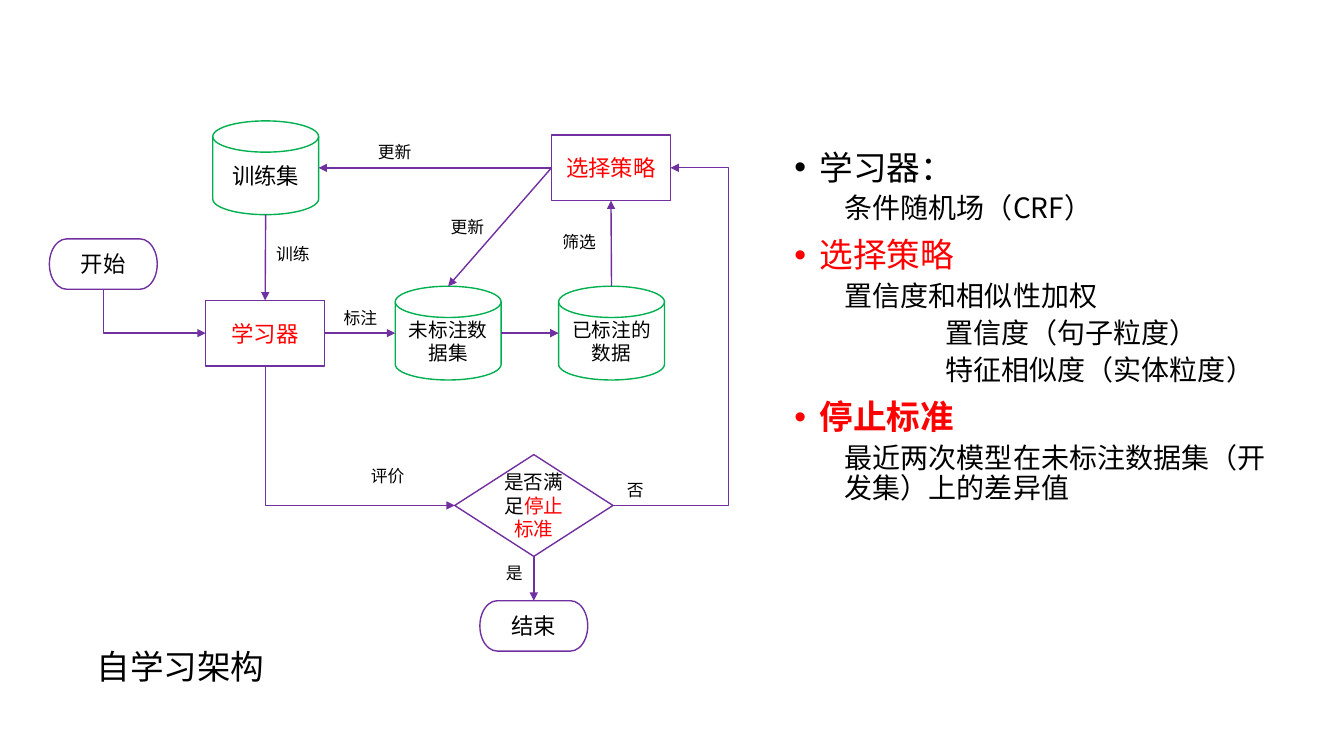
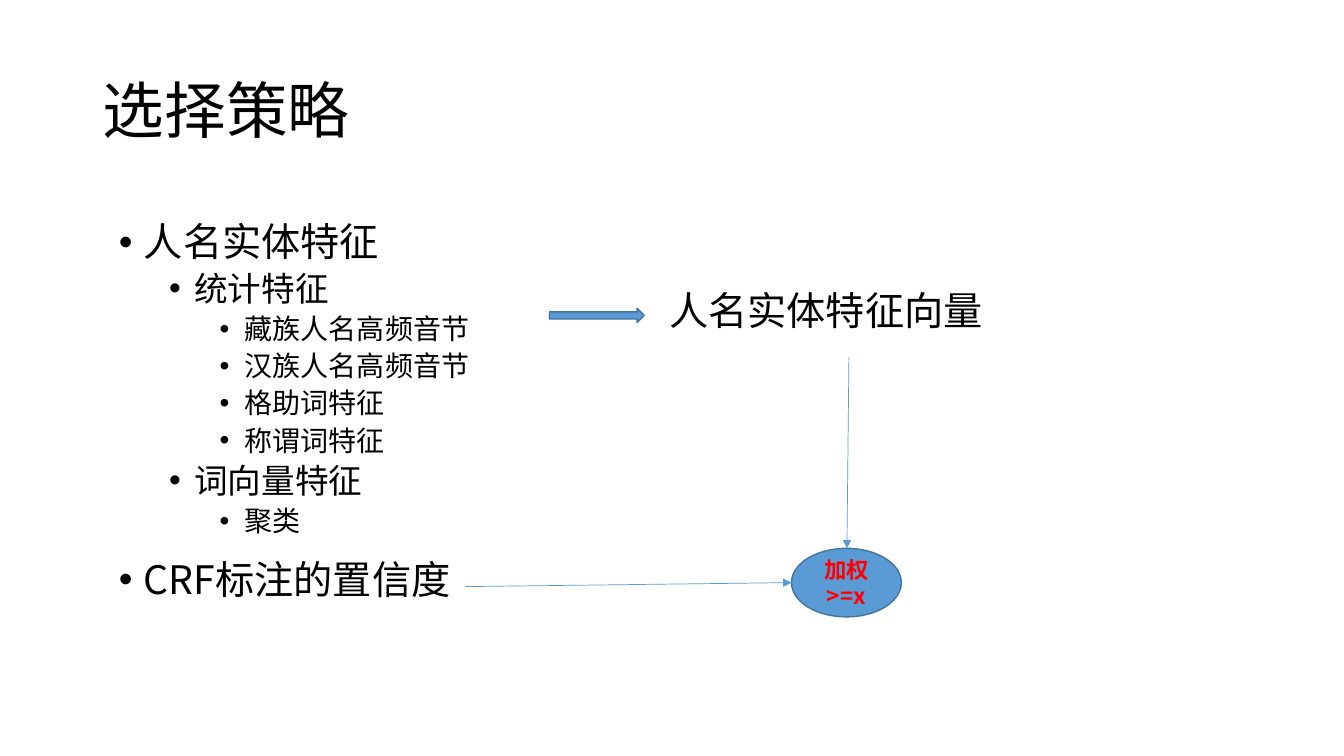
import pptx
import pptx.dml.color
import pptx.enum.shapes
import pptx.enum.text
import pptx.oxml
import pptx.oxml.ns
import pptx.util

Inches = pptx.util.Inches
Pt = pptx.util.Pt
Kind = pptx.enum.shapes.MSO_SHAPE
Align = pptx.enum.text.PP_ALIGN
Anchor = pptx.enum.text.MSO_ANCHOR

FONT = "Noto Sans CJK SC"
BLACK, RED, PURPLE, GREEN = "000000", "FF0000", "7030A0", "00B050"
BLUE, DARK_BLUE = "5B9BD5", "43739E"
TOP, LEFT, BOTTOM, RIGHT = range(4)


def colour(value):
    return pptx.dml.color.RGBColor.from_string(value)


def add_xml(parent, tag, **attributes):
    element = pptx.oxml.parse_xml(f"<a:{tag} {pptx.oxml.ns.nsdecls('a')}/>")
    for name, value in attributes.items():
        element.set(name, str(value))
    parent.append(element)


class Deck:
    """Hold the shared style and the current slide."""

    def __init__(self):
        self.deck = pptx.Presentation()
        self.deck.slide_width = Inches(13.33)
        self.deck.slide_height = Inches(7.5)
        self.page = None

    def add_page(self, title=None):
        layout = self.deck.slide_layouts[5 if title else 6]
        self.page = self.deck.slides.add_slide(layout)
        if title:
            box = self.page.shapes.title
            box.left, box.top = Inches(0.92), Inches(0.4)
            box.width, box.height = Inches(11.5), Inches(1.45)
            box.text_frame.vertical_anchor = Anchor.MIDDLE
            para = box.text_frame.paragraphs[0]
            para.line_spacing = 0.9
            self.add_text(para, title, 44, align=Align.LEFT, font="Arial")

    def add_text(self, para, text, size, ink=BLACK, bold=False, align=None, font=FONT):
        para.add_run().text = text
        para.alignment = align
        para.font.name = font
        para.font.size = Pt(size)
        para.font.bold = bold
        para.font.color.rgb = colour(ink)

    def text_box(self, left, top, width, height, wrap=True):
        box = self.page.shapes.add_textbox(
            Inches(left), Inches(top), Inches(width), Inches(height))
        box.text_frame.word_wrap = wrap
        return box.text_frame

    def label(self, left, top, text, size=12, width=0.54, height=0.3, wrap=False):
        frame = self.text_box(left, top, width, height, wrap)
        self.add_text(frame.paragraphs[0], text, size)

    def outline(self, left, top, width, height, lines):
        frame = self.text_box(left, top, width, height)
        for number, (text, size, margin, bullet, ink, bold) in enumerate(lines):
            para = frame.add_paragraph() if number else frame.paragraphs[0]
            properties = para._p.get_or_add_pPr()
            properties.set("marL", str(Inches(margin)))
            properties.set("indent", str(Inches(-0.25 if bullet else 0)))
            if bullet:
                add_xml(properties, "buFont", typeface="Arial")
                add_xml(properties, "buChar", char="•")
            para.line_spacing = 0.9
            para.space_before = Pt(10 if margin < 0.5 else 5)
            self.add_text(para, text, size, ink, bold)

    def shape(self, kind, left, top, width, height, line=PURPLE, fill=None,
              text="", size=16, ink=BLACK, bold=False, red_text=""):
        shape = self.page.shapes.add_shape(
            kind, Inches(left), Inches(top), Inches(width), Inches(height))
        shape.shadow.inherit = False
        shape.line.color.rgb = colour(line)
        shape.line.width = Pt(1)
        if fill:
            shape.fill.solid()
            shape.fill.fore_color.rgb = colour(fill)
        else:
            shape.fill.background()
        if text:
            shape.text_frame.vertical_anchor = Anchor.MIDDLE
            para = shape.text_frame.paragraphs[0]
            self.add_text(para, text, size, ink, bold, Align.CENTER)
            if red_text:
                span = para.add_run()
                span.text = red_text
                span.font.color.rgb = colour(RED)
        return shape

    def disk(self, left, top, text, size):
        return self.shape(Kind.FLOWCHART_MAGNETIC_DISK, left, top, 1.05, 0.93,
                          GREEN, text=text, size=size)

    def process(self, left, top, text):
        return self.shape(Kind.RECTANGLE, left, top, 1.18, 0.65, text=text, ink=RED)

    def terminator(self, left, top, text):
        return self.shape(Kind.FLOWCHART_TERMINATOR, left, top, 1.07, 0.5, text=text)

    def arrow(self, x1=0, y1=0, x2=0, y2=0, line=PURPLE, weight=1, elbow=False):
        types = pptx.enum.shapes.MSO_CONNECTOR
        arrow = self.page.shapes.add_connector(
            types.ELBOW if elbow else types.STRAIGHT,
            Inches(x1), Inches(y1), Inches(x2), Inches(y2))
        arrow.line.color.rgb = colour(line)
        arrow.line.width = Pt(weight)
        add_xml(arrow.line._get_or_add_ln(), "tailEnd", type="triangle")
        add_xml(arrow._element.spPr, "effectLst")
        return arrow

    def connect(self, start, start_site, end, end_site, elbow=False):
        arrow = self.arrow(elbow=elbow)
        arrow.begin_connect(start, start_site)
        arrow.end_connect(end, end_site)
        links = arrow._element.nvCxnSpPr.cNvCxnSpPr
        for shape, link in ((start, links.stCxn), (end, links.endCxn)):
            if shape.auto_shape_type == Kind.FLOWCHART_MAGNETIC_DISK:
                link.idx += 1
        return arrow

    def connect_down_right(self, start, end):
        arrow = self.connect(start, BOTTOM, end, LEFT, elbow=True)
        width, height = arrow.width, arrow.height
        arrow.left += (width - height) // 2
        arrow.top += (height - width) // 2
        arrow.width, arrow.height = height, width
        properties = arrow._element.spPr
        properties.prstGeom.set("prst", "bentConnector2")
        properties.xfrm.set("rot", str(270 * 60000))
        properties.xfrm.set("flipH", "1")

    def connect_around(self, start, end, bend):
        arrow = self.connect(start, RIGHT, end, RIGHT, elbow=True)
        geometry = arrow._element.spPr.prstGeom
        add_xml(geometry.get_or_add_avLst(), "gd", name="adj1",
                fmla=f"val {round(bend * 100000)}")


deck = Deck()

deck.add_page()
training = deck.disk(2.11, 1.2, "训练集", 16)
unlabelled = deck.disk(3.92, 2.84, "未标注数据集", 14)
labelled = deck.disk(5.54, 2.84, "已标注的数据", 14)
learner = deck.process(2.04, 2.98, "学习器")
strategy = deck.process(5.47, 1.34, "选择策略")
start = deck.terminator(0.49, 2.37, "开始")
finish = deck.terminator(4.76, 5.96, "结束")
decision = deck.shape(Kind.FLOWCHART_DECISION, 4.51, 4.51, 1.57, 1.01,
                      text="是否满足", size=14, red_text="停止标准")

for link in (
    (learner, RIGHT, unlabelled, LEFT),
    (strategy, LEFT, training, RIGHT),
    (training, BOTTOM, learner, TOP),
    (decision, BOTTOM, finish, TOP),
    (labelled, TOP, strategy, BOTTOM),
    (unlabelled, RIGHT, labelled, LEFT),
    (strategy, LEFT, unlabelled, TOP),
):
    deck.connect(*link)
deck.connect_down_right(start, learner)
deck.connect_down_right(learner, decision)
deck.connect_around(decision, strategy, 2.01)

for left, top, text in (
    (2.64, 2.37, "训练"), (3.58, 4.57, "评价"), (3.31, 3, "标注"),
    (5.48, 2.25, "筛选"), (3.65, 1.36, "更新"), (4.37, 2.1, "更新"),
):
    deck.label(left, top, text)
deck.label(4.92, 5.53, "是", width=0.37)
deck.label(6.12, 4.71, "否", width=0.37)
deck.label(0.86, 6.36, "自学习架构", 24, 2.5, 0.5, True)

deck.outline(7.78, 1.45, 5.07, 5.3, (
    ("学习器：", 24, 0.25, True, BLACK, False),
    ("条件随机场（CRF）", 20, 0.5, False, BLACK, False),
    ("选择策略", 24, 0.25, True, RED, False),
    ("置信度和相似性加权", 20, 0.5, False, BLACK, False),
    ("置信度（句子粒度）", 20, 1.5, False, BLACK, False),
    ("特征相似度（实体粒度）", 20, 1.5, False, BLACK, False),
    ("停止标准", 24, 0.25, True, RED, True),
    ("最近两次模型在未标注数据集（开发集）上的差异值", 20, 0.5, False, BLACK, False),
))

deck.add_page("选择策略")
deck.outline(6.54, 2.84, 3.47, 0.7, (
    ("人名实体特征向量", 28, 0, False, BLACK, False),
))
features = (
    ("人名实体特征", 0), ("统计特征", 1), ("藏族人名高频音节", 2),
    ("汉族人名高频音节", 2), ("格助词特征", 2), ("称谓词特征", 2),
    ("词向量特征", 1), ("聚类", 2),
)
deck.outline(1.08, 2.16, 4.47, 3.35, [
    (text, 28 - 4 * level, 0.25 + 0.5 * level, True, BLACK, False)
    for text, level in features
])
deck.outline(1.08, 5.51, 3.53, 0.61, (
    ("CRF标注的置信度", 28, 0.25, True, BLACK, False),
))
deck.shape(Kind.RIGHT_ARROW, 5.45, 3.06, 0.94, 0.14, DARK_BLUE, BLUE)
deck.shape(Kind.OVAL, 7.85, 5.44, 1.09, 0.68, DARK_BLUE, BLUE,
           text="加权>=x", ink=RED, bold=True)
deck.arrow(8.42, 3.54, 8.4, 5.44, BLUE, 0.5)
deck.arrow(4.61, 5.82, 7.85, 5.78, BLUE, 0.5)

deck.deck.save("out.pptx")
